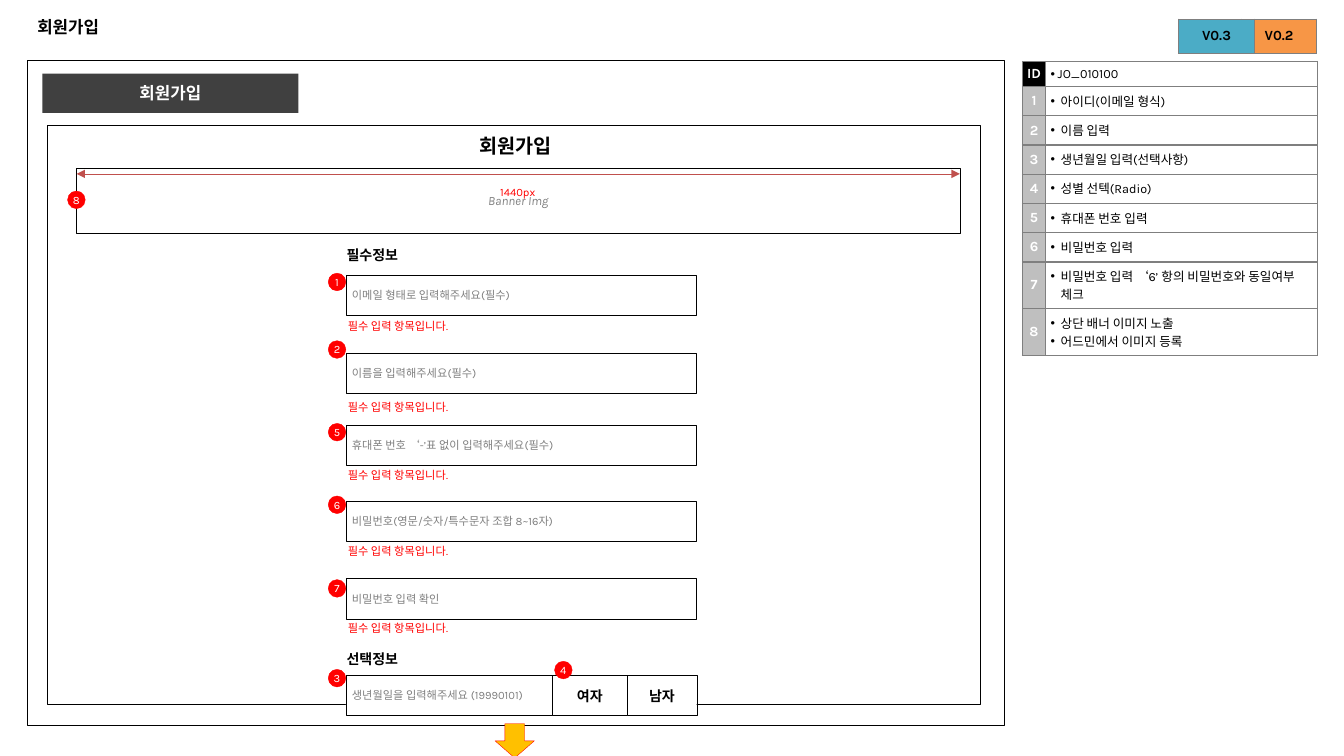
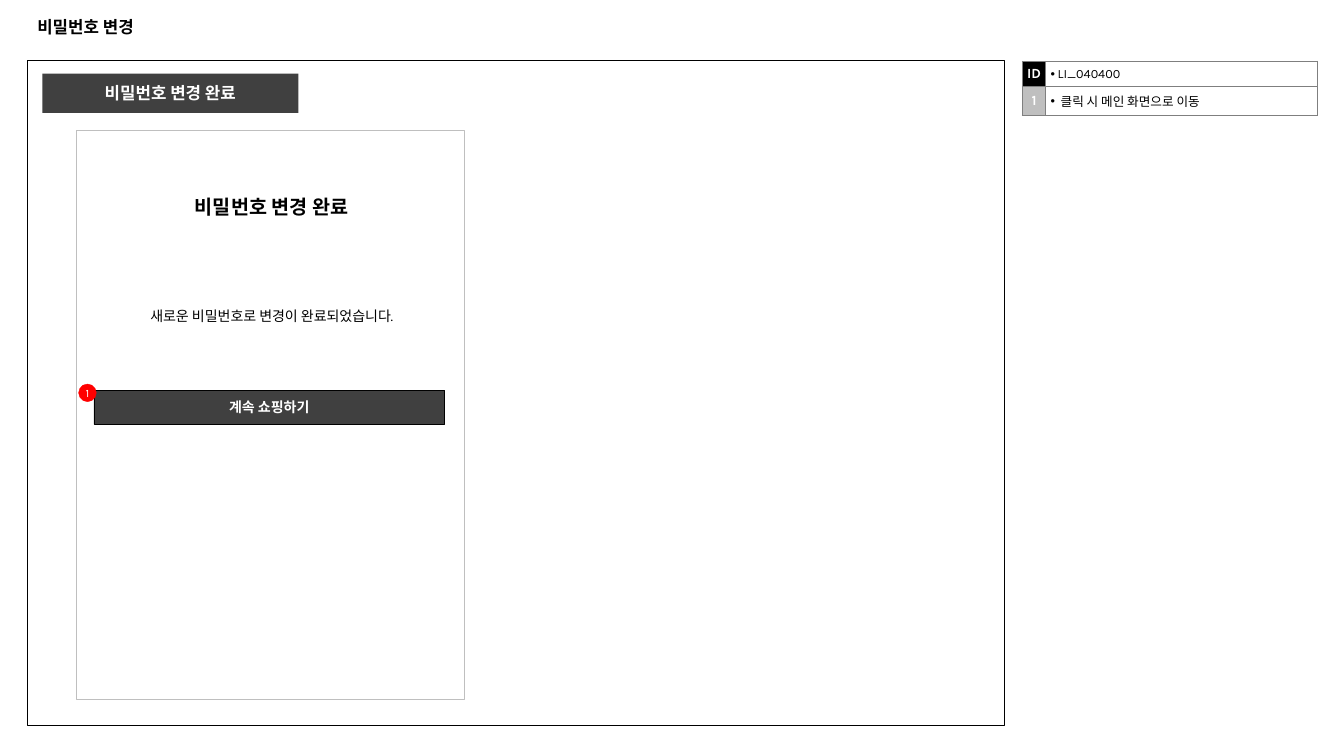
from dataclasses import dataclass

from lxml import etree
from pptx import Presentation
from pptx.dml.color import RGBColor
from pptx.enum.shapes import MSO_CONNECTOR, MSO_SHAPE
from pptx.enum.text import MSO_ANCHOR as Anchor, PP_ALIGN as Align
from pptx.oxml import parse_xml
from pptx.oxml.ns import nsdecls, qn
from pptx.util import Inches, Pt

COLORS = {
    "black": "000000", "white": "FFFFFF", "dark": "404040", "grid": "7F7F7F",
    "hint": "808080", "light": "BFBFBF", "red": "FF0000", "amber": "FFC000",
    "measure": "C0504D", "teal": "4BACC6", "orange": "F79646",
}
LATIN, HEADING, KOREAN = "Karla", "Arial", "Noto Sans CJK KR"
CELL = Inches(0.1)  # one column or row of the layout grid
BADGE = 1.75
HAIRLINE = 0.25


@dataclass
class Box:
    """An area of the slide in grid columns and rows."""
    left: float
    top: float
    width: float
    height: float

    def inner(self, left, top, width, height):
        return Box(self.left + left, self.top + top, width, height)

    def emu(self):
        return [round(n * CELL) for n in (self.left, self.top, self.width, self.height)]


TITLE = Box(2.7, 0.7, 127.9, 3.9)
FRAME = Box(2.7, 6, 96.9, 66)
NOTES = Box(101.4, 6.1, 29.3, 28)
VERSIONS = Box(116.9, 1.9, 13.7, 3.4)


def rgb(name):
    return RGBColor.from_string(COLORS[name])


def set_bullet(paragraph, hanging):
    properties = paragraph._p.get_or_add_pPr()
    properties.set("marL", str(Inches(hanging)))
    properties.set("indent", str(-Inches(hanging)))
    etree.SubElement(properties, qn("a:buFont"), typeface="Arial")
    etree.SubElement(properties, qn("a:buChar"), char="•")


def write(holder, text, size=8, color="black", font=LATIN, bold=False, italic=False,
          align=Align.LEFT, anchor=Anchor.MIDDLE, inset=(0.1, 0.05), hanging=None):
    """Fill a text frame or table cell; each line becomes a paragraph."""
    holder.margin_left = holder.margin_right = Inches(inset[0])
    holder.margin_top = holder.margin_bottom = Inches(inset[1])
    holder.vertical_anchor = anchor
    frame = getattr(holder, "text_frame", holder)
    for index, line in enumerate(text.split("\n")):
        paragraph = frame.add_paragraph() if index else frame.paragraphs[0]
        paragraph.alignment = align
        if hanging:
            set_bullet(paragraph, hanging)
        run = paragraph.add_run()
        run.text = line
        run.font.size, run.font.bold, run.font.italic = Pt(size), bold, italic
        run.font.color.rgb = rgb(color)
        run.font.name = font
        etree.SubElement(run._r.get_or_add_rPr(), qn("a:ea"), typeface=KOREAN)


def add_shape(slide, box, text="", fill=None, line=None, weight=HAIRLINE,
              kind=MSO_SHAPE.RECTANGLE, **text_format):
    shape = slide.shapes.add_shape(kind, *box.emu())
    shape.shadow.inherit = False
    if fill:
        shape.fill.solid()
        shape.fill.fore_color.rgb = rgb(fill)
    else:
        shape.fill.background()
    if line:
        shape.line.color.rgb = rgb(line)
        shape.line.width = Pt(weight)
    else:
        shape.line.fill.background()
    if text:
        write(shape.text_frame, text, **text_format)
    return shape


def add_text(slide, box, text, wrap=True, **text_format):
    frame = slide.shapes.add_textbox(*box.emu()).text_frame
    frame.word_wrap = wrap
    write(frame, text, **{"anchor": Anchor.TOP, **text_format})


def add_badge(slide, box, number):
    add_shape(slide, box, str(number), fill="red", line="red", kind=MSO_SHAPE.OVAL,
              color="white", align=Align.CENTER, inset=(0, 0))


def add_measure(slide, box):
    """Draw a double-headed arrow along the top of the box."""
    left, top, width, _ = box.emu()
    line = slide.shapes.add_connector(MSO_CONNECTOR.STRAIGHT, left, top, left + width, top)
    line.line.color.rgb = rgb("measure")
    line.line.width = Pt(HAIRLINE)
    outline = line.line._get_or_add_ln()
    for end in ("a:headEnd", "a:tailEnd"):
        etree.SubElement(outline, qn(end), type="triangle")
    etree.SubElement(line._element.spPr, qn("a:effectLst"))


def add_plain_table(slide, box, columns, rows):
    shape = slide.shapes.add_table(len(rows), len(columns), *box.emu())
    table = shape.table
    table.first_row = table.horz_banding = False
    for column, width in zip(table.columns, columns):
        column.width = round(width * CELL)
    for row, height in zip(table.rows, rows):
        row.height = round(height * CELL)
    return table


def format_cell(cell, text, fill=None, **text_format):
    properties = cell._tc.get_or_add_tcPr()
    for side in "LRTB":
        properties.append(parse_xml(
            f'<a:ln{side} {nsdecls("a")} w="12700"><a:solidFill>'
            f'<a:srgbClr val="{COLORS["grid"]}"/></a:solidFill></a:ln{side}>'))
    if fill:
        cell.fill.solid()
        cell.fill.fore_color.rgb = rgb(fill)
    else:
        cell.fill.background()
    write(cell, text, **text_format)


def add_notes_table(slide, box, screen_id, notes):
    heights = [2.5] + [2.9] * len(notes)
    table = add_plain_table(slide, box, (2.3, box.width - 2.3), heights)
    for index, note in enumerate([screen_id, *notes]):
        format_cell(table.cell(index, 0), str(index or "ID"),
                    fill="light" if index else "black", size=10, color="white",
                    bold=True, align=Align.CENTER, inset=(0, 0))
        format_cell(table.cell(index, 1), note, size=9, anchor=Anchor.TOP,
                    inset=(0.05, 0.05), hanging=0.1 if index else 0.07)


def add_versions(slide, box):
    for left, version, fill in ((6.2, "V0.2", "orange"), (0, "V0.3", "teal")):
        table = add_plain_table(slide, box.inner(left, 0, 7.5, box.height), [7.5], [box.height])
        format_cell(table.cell(0, 0), version, fill=fill, size=10, bold=True,
                    align=Align.CENTER, inset=(0, 0))


def add_screen(presentation, title, tab, screen_id, notes):
    """Add a slide with the regions that every screen shares."""
    slide = presentation.slides.add_slide(presentation.slide_layouts[5])
    heading = slide.shapes.title
    heading.left, heading.top, heading.width, heading.height = TITLE.emu()
    write(heading.text_frame, title, size=12, font=HEADING, bold=True)
    add_shape(slide, FRAME, line="black", weight=0.75)
    add_shape(slide, FRAME.inner(1.5, 1.3, 25.4, 3.9), tab, fill="dark", size=12,
              font=HEADING, color="white", bold=True, align=Align.CENTER)
    add_notes_table(slide, NOTES, screen_id, notes)
    return slide


def add_page_heading(slide, box, text):
    add_text(slide, box, text, size=14, font=HEADING, bold=True, align=Align.CENTER)


def add_banner(slide, box):
    add_shape(slide, box, "Banner Img", line="black", size=9, color="hint",
              italic=True, align=Align.CENTER, inset=(0.04, 0.04))
    add_measure(slide, box.inner(0, 0.55, box.width, 0))
    add_text(slide, box.inner(41.6, 1.3, 4.4, 2.1), "1440px", wrap=False, color="red",
             anchor=Anchor.MIDDLE, inset=(0.04, 0.04))
    add_badge(slide, box.inner(-0.9, 2.25, BADGE, BADGE), 8)


def add_input(slide, box, hint, fill=None):
    add_shape(slide, box, hint, fill=fill, line="black", color="hint", inset=(0.06, 0.04))


def add_form(slide, box):
    # number, hint, then the rows of the field, its message and its badge
    fields = [
        (1, "이메일 형태로 입력해주세요(필수)", 3.3, 7.3, 3.1),
        (2, "이름을 입력해주세요(필수)", 11, 15.3, 9.8),
        (5, "휴대폰 번호 ‘-’표 없이 입력해주세요(필수)", 18.2, 22.1, 18),
        (6, "비밀번호(영문/숫자/특수문자 조합 8~16자)", 25.7, 29.6, 25.2),
        (7, "비밀번호 입력 확인", 33.4, 37.2, 33.5),
    ]
    for label, top in (("필수정보", 0), ("선택정보", 40)):
        add_text(slide, box.inner(-0.9, top, 7.6, 2.7), label, wrap=False, size=10,
                 font=KOREAN, bold=True)
    for number, hint, field, message, badge in fields:
        add_input(slide, box.inner(0, field, box.width, 4), hint)
        add_text(slide, box.inner(-0.2, message, 14.4, 2.8), "필수 입력 항목입니다.",
                 color="red", inset=(0.04, 0.04))
        add_badge(slide, box.inner(-1.75, badge, BADGE, BADGE), number)
    add_input(slide, box.inner(0, 43, 20.5, 4), "생년월일을 입력해주세요 (19990101)", fill="white")
    for gender, left, width in (("여자", 20.5, 7.4), ("남자", 27.9, 6.9)):
        add_shape(slide, box.inner(left, 43, width, 4), gender, fill="white", line="black",
                  size=10, bold=True, align=Align.CENTER, inset=(0.04, 0.04))
    for number, left, top in ((3, -1.75, 42.4), (4, 20.7, 41.6)):
        add_badge(slide, box.inner(left, top, BADGE, BADGE), number)


def build_sign_up(presentation):
    slide = add_screen(presentation, "회원가입", "회원가입", "JO_010100", [
        "아이디(이메일 형식)", "이름 입력", "생년월일 입력(선택사항)", "성별 선텍(Radio)",
        "휴대폰 번호 입력", "비밀번호 입력",
        "비밀번호 입력 ‘6’ 항의 비밀번호와 동일여부 체크",
        "상단 배너 이미지 노출\n어드민에서 이미지 등록",
    ])
    add_versions(slide, VERSIONS)
    page = FRAME.inner(2, 6.4, 92.5, 57.5)
    add_shape(slide, page, line="black")
    add_page_heading(slide, page.inner(31.7, 0.4, 29.5, 3.4), "회원가입")
    add_banner(slide, page.inner(2.9, 4.3, 87.6, 6.4))
    add_form(slide, page.inner(29.6, 11.6, 34.8, 47))
    add_shape(slide, FRAME.inner(46.4, 65.8, 3.9, 3.4), fill="amber", line="red",
              kind=MSO_SHAPE.DOWN_ARROW)


def build_password_changed(presentation):
    slide = add_screen(presentation, "비밀번호 변경", "비밀번호 변경 완료", "LI_040400",
                       ["클릭 시 메인 화면으로 이동"])
    panel = FRAME.inner(4.9, 6.9, 38.4, 56.5)
    add_shape(slide, panel, fill="white", line="light")
    add_page_heading(slide, panel.inner(4.6, 5.9, 29.5, 3.4), "비밀번호 변경 완료")
    add_text(slide, panel.inner(0.3, 17.2, 38.1, 3), "새로운 비밀번호로 변경이 완료되었습니다.",
             size=10, align=Align.CENTER, inset=(0.04, 0.04))
    add_shape(slide, panel.inner(1.7, 25.8, 34.8, 3.4), "계속 쇼핑하기", fill="dark",
              line="black", size=10, font=KOREAN, color="white", bold=True,
              align=Align.CENTER)
    add_badge(slide, panel.inner(0.2, 25.2, BADGE, BADGE), 1)


def main():
    presentation = Presentation()
    presentation.slide_width, presentation.slide_height = Inches(13.33), Inches(7.5)
    build_sign_up(presentation)
    build_password_changed(presentation)
    presentation.save("out.pptx")


if __name__ == "__main__":
    main()
